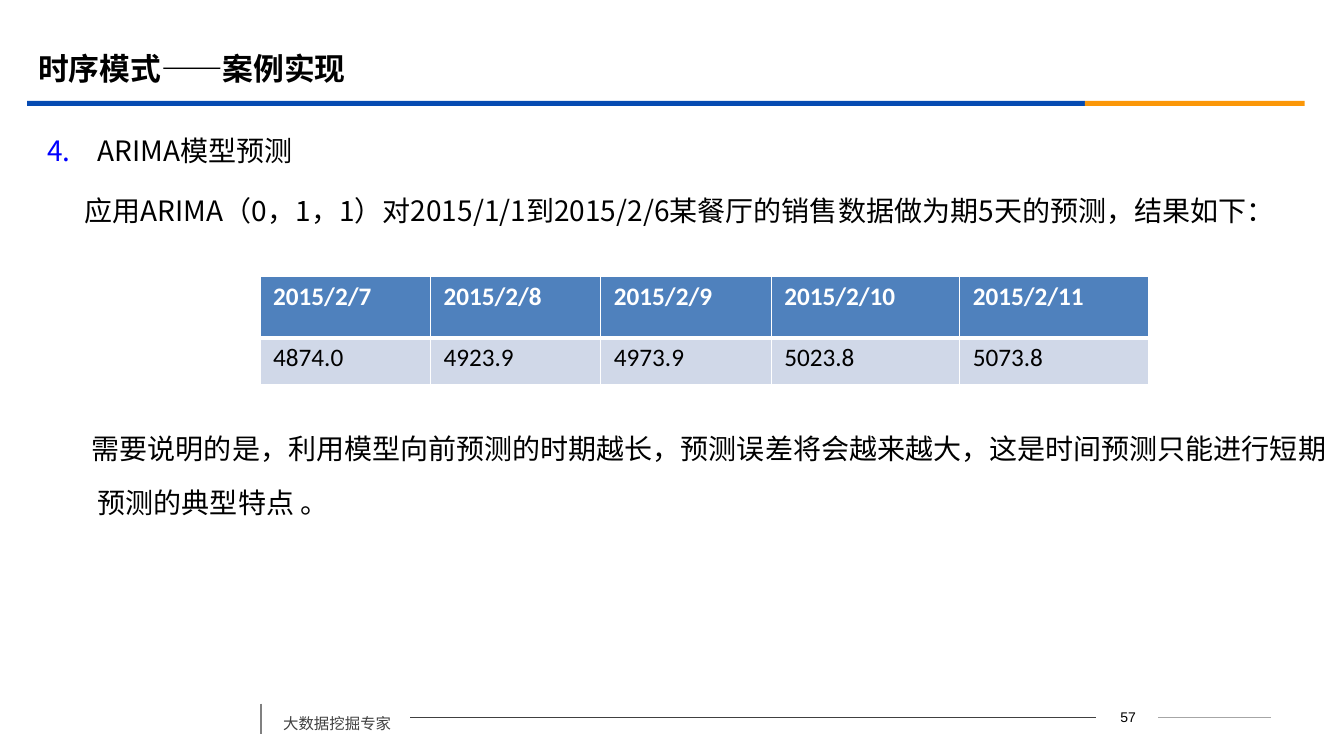
from dataclasses import dataclass

from lxml.etree import SubElement
from pptx import Presentation
from pptx.dml.color import RGBColor
from pptx.enum.shapes import MSO_CONNECTOR, MSO_SHAPE
from pptx.enum.text import MSO_ANCHOR as Anchor, PP_ALIGN as Align
from pptx.oxml.ns import qn
from pptx.util import Inches, Pt

CJK = "Noto Sans CJK SC"
BLACK, WHITE = "000000", "FFFFFF"


@dataclass
class Bar:
    left: float
    width: float
    color: str


@dataclass
class Rule:
    start: tuple[float, float]
    end: tuple[float, float]
    color: str
    weight: float


@dataclass
class Style:
    size: float
    color: str = BLACK
    font: str = CJK
    bold: bool = False


@dataclass
class Label:
    box: tuple[float, float, float, float]
    text: str
    style: Style
    anchor: Anchor = Anchor.MIDDLE
    align: Align = Align.LEFT
    line_height: float | None = None


@dataclass
class BodyText:
    text: str
    first_line: float
    space_before: float
    number: int | None = None


@dataclass
class TableRow:
    height: float
    fill: str
    style: Style
    values: list[str]
    borders: dict[str, float]


BARS = [Bar(0.27, 10.49, "064BB2"), Bar(10.76, 2.18, "FB9708")]
RULES = [
    Rule((2.59, 6.98), (2.59, 7.28), "808080", 1.25),
    Rule((4.07, 7.12), (10.87, 7.12), "404040", 0.75),
    Rule((11.49, 7.12), (12.61, 7.12), "A6A6A6", 0.75),
]
LABELS = [
    Label((0.28, 0.39, 12, 0.58), "时序模式——案例实现", Style(22, bold=True)),
    Label((2.71, 6.94, 1.36, 0.38), "大数据挖掘专家", Style(11, "404040"),
          Anchor.TOP, line_height=20),
    Label((10.88, 6.99, 0.62, 0.25), "57", Style(10, font="Arial"), align=Align.CENTER),
]
BODY = [
    BodyText("ARIMA模型预测", -0.5, 4.4, 4),
    BodyText("应用ARIMA（0，1，1）对2015/1/1到2015/2/6某餐厅的销售数据做为期5天的预测，结果如下：",
             -0.13, 4.4),
    BodyText("需要说明的是，利用模型向前预测的时期越长，预测误差将会越来越大，"
             "这是时间预测只能进行短期预测的典型特点 。", -0.06, 132),
]
COLUMN_WIDTHS = [1.69] * 3 + [1.87] * 2
FORECAST = [
    TableRow(0.61, "4F81BD", Style(18, WHITE, "Calibri", True),
             ["2015/2/7", "2015/2/8", "2015/2/9", "2015/2/10", "2015/2/11"],
             {"lnL": 1, "lnR": 1, "lnT": 1, "lnB": 3}),
    TableRow(0.47, "D0D8E8", Style(18, font="Calibri"),
             ["4874.0", "4923.9", "4973.9", "5023.8", "5073.8"],
             {"lnL": 1, "lnR": 1, "lnT": 3, "lnB": 1}),
]


def rgb(color: str) -> RGBColor:
    return RGBColor.from_string(color)


def add_run(paragraph, text: str, style: Style) -> None:
    run = paragraph.add_run()
    run.text = text
    font = run.font
    font.name, font.size, font.bold = style.font, Pt(style.size), style.bold
    font.color.rgb = rgb(style.color)
    SubElement(font._element, qn("a:ea")).set("typeface", style.font)


def add_bar(slide, bar: Bar) -> None:
    shape = slide.shapes.add_shape(
        MSO_SHAPE.RECTANGLE, Inches(bar.left), Inches(1), Inches(bar.width), Inches(0.05))
    shape.shadow.inherit = False
    shape.fill.solid()
    shape.fill.fore_color.rgb = rgb(bar.color)
    shape.line.fill.background()


def add_rule(slide, rule: Rule) -> None:
    line = slide.shapes.add_connector(
        MSO_CONNECTOR.STRAIGHT, *map(Inches, rule.start + rule.end))
    line.line.color.rgb = rgb(rule.color)
    line.line.width = Pt(rule.weight)
    SubElement(line._element.spPr, qn("a:effectLst"))


def add_label(slide, label: Label) -> None:
    frame = slide.shapes.add_textbox(*map(Inches, label.box)).text_frame
    frame.word_wrap = True
    frame.vertical_anchor = label.anchor
    paragraph = frame.paragraphs[0]
    paragraph.alignment = label.align
    if label.line_height:
        paragraph.line_spacing = Pt(label.line_height)
    add_run(paragraph, label.text, label.style)


def add_body(slide, texts: list[BodyText]) -> None:
    frame = slide.shapes.add_textbox(
        Inches(0.47), Inches(1.12), Inches(12.71), Inches(4.11)).text_frame
    frame.word_wrap = True
    frame.margin_left = frame.margin_right = frame.margin_top = frame.margin_bottom = 0
    for index, body in enumerate(texts):
        paragraph = frame.add_paragraph() if index else frame.paragraphs[0]
        paragraph.line_spacing = Pt(38.4)
        paragraph.space_before = Pt(body.space_before)
        properties = paragraph._p.get_or_add_pPr()
        properties.set("marL", str(Inches(0.5)))
        properties.set("indent", str(Inches(body.first_line)))
        if body.number:
            bullet_color = SubElement(properties, qn("a:buClr"))
            SubElement(bullet_color, qn("a:srgbClr")).set("val", "0000FF")
            numbering = SubElement(properties, qn("a:buAutoNum"))
            numbering.set("type", "arabicPeriod")
            numbering.set("startAt", str(body.number))
        add_run(paragraph, body.text, Style(20))


def set_borders(cell, borders: dict[str, float]) -> None:
    properties = cell._tc.get_or_add_tcPr()
    for position, (side, weight) in enumerate(borders.items()):
        line = SubElement(properties, qn(f"a:{side}"))
        line.set("w", str(Pt(weight)))
        fill = SubElement(line, qn("a:solidFill"))
        SubElement(fill, qn("a:srgbClr")).set("val", WHITE)
        properties.insert(position, line)


def add_forecast(slide, rows: list[TableRow]) -> None:
    table = slide.shapes.add_table(
        len(rows), len(COLUMN_WIDTHS), Inches(2.58), Inches(2.74),
        Inches(sum(COLUMN_WIDTHS)), Inches(sum(row.height for row in rows))).table
    for column, width in zip(table.columns, COLUMN_WIDTHS):
        column.width = Inches(width)
    for table_row, row in zip(table.rows, rows):
        table_row.height = Inches(row.height)
        for cell, value in zip(table_row.cells, row.values):
            cell.margin_left = cell.margin_right = Inches(0.13)
            cell.fill.solid()
            cell.fill.fore_color.rgb = rgb(row.fill)
            set_borders(cell, row.borders)
            paragraph = cell.text_frame.paragraphs[0]
            paragraph.space_before = Pt(3.6)
            add_run(paragraph, value, row.style)


def main() -> None:
    deck = Presentation()
    deck.slide_width, deck.slide_height = Inches(13.33), Inches(7.5)
    slide = deck.slides.add_slide(deck.slide_layouts[6])

    # Header bars and footer rules
    for bar in BARS:
        add_bar(slide, bar)
    for rule in RULES:
        add_rule(slide, rule)

    # Title, footer and page number
    for label in LABELS:
        add_label(slide, label)

    # Explanation and forecast table
    add_body(slide, BODY)
    add_forecast(slide, FORECAST)
    deck.save("out.pptx")


if __name__ == "__main__":
    main()
